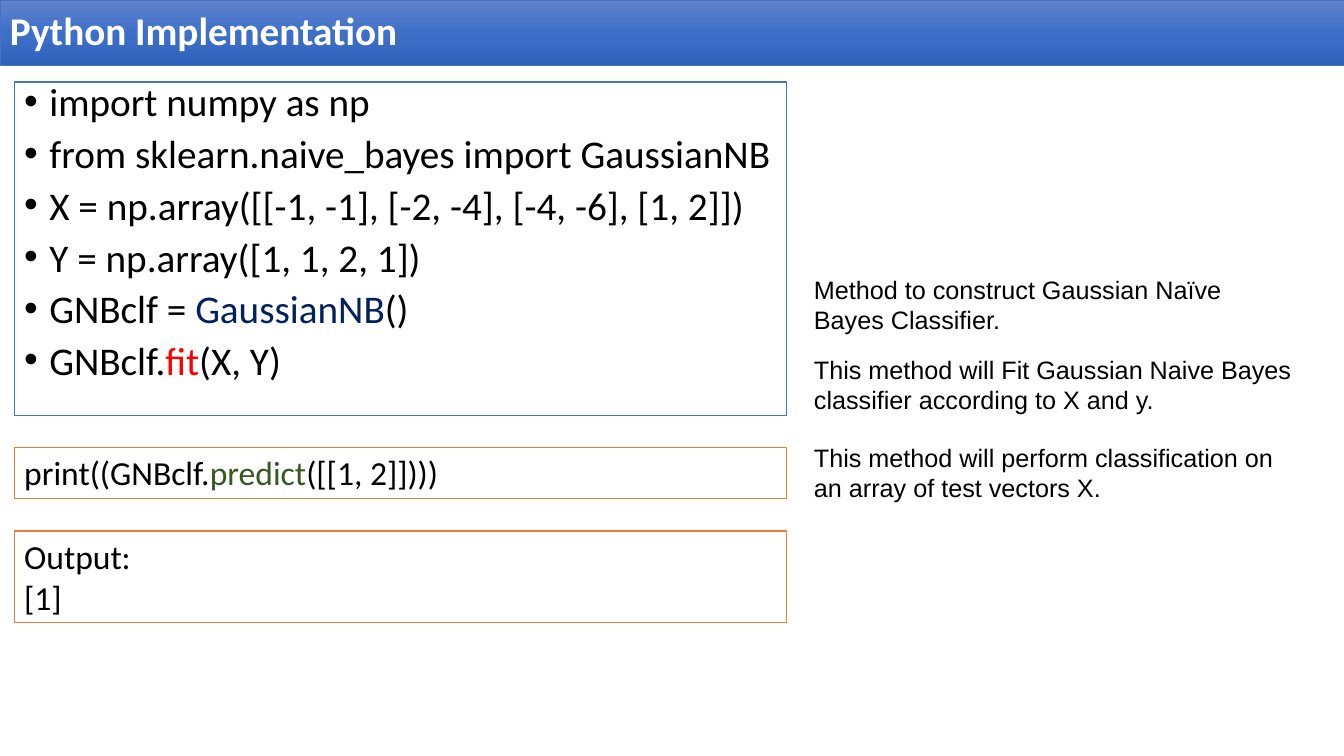
from copy import deepcopy

from lxml import etree
from pptx import Presentation
from pptx.dml.color import RGBColor
from pptx.enum.shapes import MSO_SHAPE
from pptx.enum.text import MSO_ANCHOR, PP_ALIGN
from pptx.oxml.ns import qn
from pptx.util import Pt

RECT, LEFT = MSO_SHAPE.RECTANGLE, PP_ALIGN.LEFT
TOP, MIDDLE = MSO_ANCHOR.TOP, MSO_ANCHOR.MIDDLE

# Content: each line is a list of (text, colour) runs
BLACK, WHITE, BLUE, ORANGE = "000000", "FFFFFF", "4472C4", "ED7D31"
TITLE = [[("Python Implementation", WHITE)]]
TITLE_GRADIENT = [(0, "6183CB"), (0.5, "3E70CA"), (1, "3062BB")]
TRAINING_CODE = [
    [("import numpy as np", BLACK)],
    [("from sklearn.naive_bayes import GaussianNB", BLACK)],
    [("X = np.array([[-1, -1], [-2, -4], [-4, -6], [1, 2]])", BLACK)],
    [("Y = np.array([1, 1, 2, 1])", BLACK)],
    [("GNBclf = ", BLACK), ("GaussianNB", "002060"), ("()", BLACK)],
    [("GNBclf.", BLACK), ("fit", "FF0000"), ("(X, Y)", BLACK)],
]
PREDICT_CODE = [[("print((GNBclf.", BLACK), ("predict", "385723"), ("([[1, 2]])))", BLACK)]]
OUTPUT = [[("Output:", BLACK)], [("[1]", BLACK)]]
# Notes: text, top, width
NOTES = [
    ("Method to construct Gaussian Naïve Bayes Classifier.", 192.2, 353),
    ("This method will Fit Gaussian Naive Bayes classifier according to X and y.", 249.2, 386),
    ("This method will perform classification on an array of test vectors X.", 312.3, 353),
]

# Layout
SLIDE_W, SLIDE_H = 960, 540
CODE_LEFT, CODE_W = 10.2, 551.5
NOTE_LEFT, NOTE_H = 574.3, 51
BULLET_INDENT = 18


def rgb(value):
    return RGBColor.from_string(value)


def write(shape, lines, size, font="Calibri", anchor=TOP, spacing=None):
    frame = shape.text_frame
    frame.word_wrap = True
    frame.vertical_anchor = anchor
    for i, runs in enumerate(lines):
        paragraph = frame.paragraphs[0] if i == 0 else frame.add_paragraph()
        paragraph.alignment = LEFT
        paragraph.font.name, paragraph.font.size = font, Pt(size)
        if spacing:
            paragraph.line_spacing = spacing
        for text, color in runs:
            run = paragraph.add_run()
            run.text = text
            run.font.color.rgb = rgb(color)


def add_box(left, top, width, height, line, line_width=1):
    box = slide.shapes.add_shape(RECT, Pt(left), Pt(top), Pt(width), Pt(height))
    box.shadow.inherit = False
    box.fill.solid()
    box.fill.fore_color.rgb = rgb(WHITE)
    box.line.color.rgb = rgb(line)
    box.line.width = Pt(line_width)
    return box


def shade(shape, gradient):
    shape.fill.gradient()
    shape.fill.gradient_angle = 270
    stop_list = next(shape._element.iter(qn("a:gsLst")))
    while len(stop_list) < len(gradient):
        stop_list.append(deepcopy(stop_list[0]))
    for stop, (position, color) in zip(shape.fill.gradient_stops, gradient):
        stop.position = position
        stop.color.rgb = rgb(color)


def add_bullet(paragraph):
    paragraph.space_before = Pt(10)
    properties = paragraph._p.get_or_add_pPr()
    properties.set("marL", str(Pt(BULLET_INDENT)))
    properties.set("indent", str(-Pt(BULLET_INDENT)))
    etree.SubElement(properties, qn("a:buFont")).set("typeface", "Arial")
    etree.SubElement(properties, qn("a:buChar")).set("char", "•")
    defaults = properties.find(qn("a:defRPr"))
    if defaults is not None:
        properties.append(defaults)  # schema order: after the bullet


prs = Presentation()
prs.slide_width, prs.slide_height = Pt(SLIDE_W), Pt(SLIDE_H)
slide = prs.slides.add_slide(prs.slide_layouts[6])

# Title bar
title_bar = add_box(0, 0, SLIDE_W, 46.8, BLUE, 0.5)
shade(title_bar, TITLE_GRADIENT)
write(title_bar, TITLE, 28, anchor=MIDDLE, spacing=0.9)
title_bar.text_frame.paragraphs[0].font.bold = True

# Code and output boxes
training_box = add_box(CODE_LEFT, 58.5, CODE_W, 238.3, BLUE)
write(training_box, TRAINING_CODE, 28, spacing=0.8)
for code_line in training_box.text_frame.paragraphs:
    add_bullet(code_line)

for lines, top, height in [(PREDICT_CODE, 319.6, 36.4), (OUTPUT, 379.4, 65.4)]:
    write(add_box(CODE_LEFT, top, CODE_W, height, ORANGE), lines, 24)

# Explanations on the right
for text, top, width in NOTES:
    note = slide.shapes.add_textbox(Pt(NOTE_LEFT), Pt(top), Pt(width), Pt(NOTE_H))
    write(note, [[(text, BLACK)]], 18, font="Arial")

prs.save("out.pptx")
